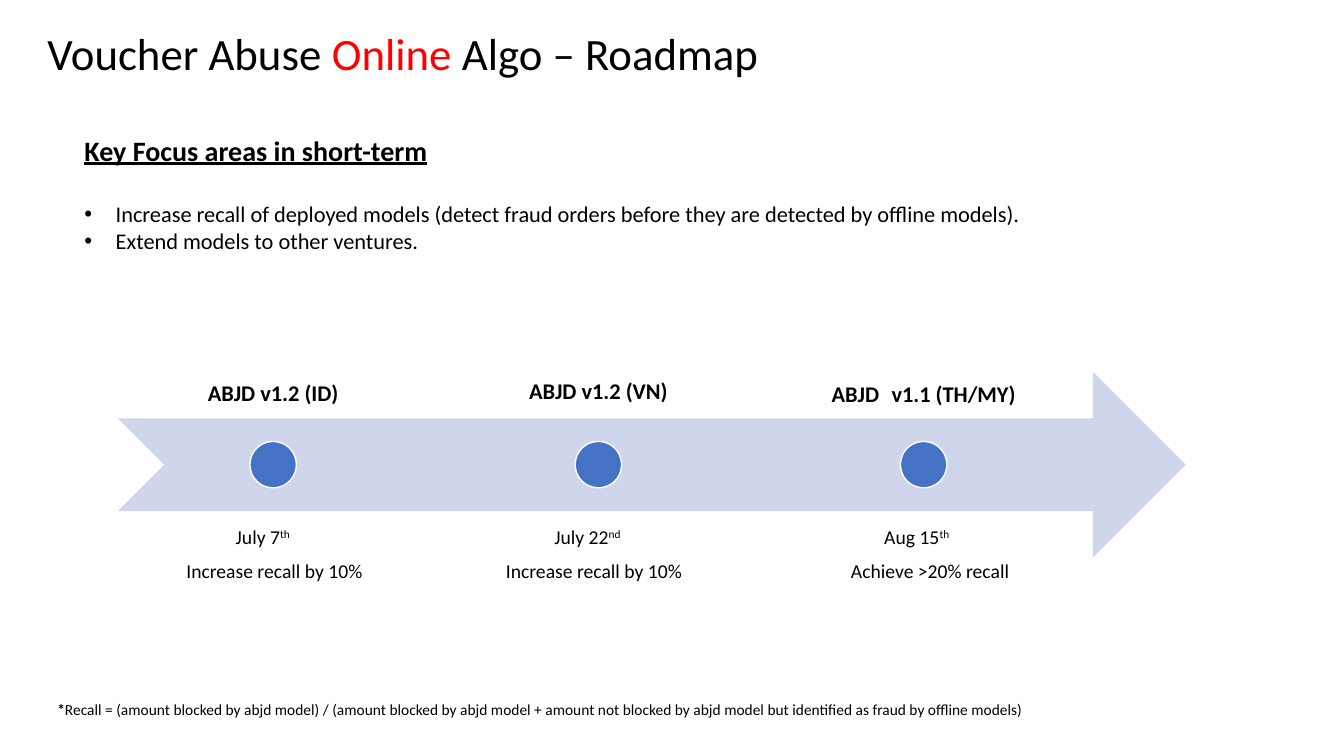
from lxml import etree
from pptx import Presentation
from pptx.dml.color import RGBColor
from pptx.enum.shapes import MSO_SHAPE
from pptx.enum.text import MSO_ANCHOR, PP_ALIGN
from pptx.oxml.ns import qn
from pptx.util import Inches, Pt

ARROW, DOT = MSO_SHAPE.NOTCHED_RIGHT_ARROW, MSO_SHAPE.OVAL
TOP, MIDDLE, BOTTOM = MSO_ANCHOR.TOP, MSO_ANCHOR.MIDDLE, MSO_ANCHOR.BOTTOM
CENTER = PP_ALIGN.CENTER

# Grid of 40 columns by 30 rows
SLIDE_W, SLIDE_H = Inches(13.33), Inches(7.5)
COL, ROW = SLIDE_W / 40, SLIDE_H / 30

FONT = "Calibri"
BLACK, RED, WHITE = "000000", "FF0000", "FFFFFF"
BAND, BLUE = "CFD5EA", "4472C4"

# Milestones: dot centres are evenly spaced along the arrow
FIRST_DOT, DOT_STEP, DOT_ROW = 8.13, 9.68, 18.44
DOT_COLS, DOT_ROWS = 1.38, 1.84
LABEL_COLS, LABEL_ROWS = 9.2, 7.36

# Label runs as (text, size), label row, date, suffix, date column, goal, goal column
MILESTONES = [
    ([("ABJD v1.2 (ID)", 16)], 9.24,
     "July 7", "th", 6.72, "Increase recall by 10%", 5.25),
    ([("ABJD v1.2 (VN)", 16)], 9.16,
     "July 22", "nd", 16.2, "Increase recall by 10%", 14.76),
    ([("ABJD", 16), (" ", 39), ("v1.1 (TH/MY)", 16)], 9.56,
     "Aug 15", "th", 26.02, "Achieve >20% recall", 25.03),
]

FOCUS_AREAS = [
    "Increase recall of deployed models (detect fraud orders before they "
    "are detected by offline models).",
    "Extend models to other ventures.",
]


def color(hex_code):
    return RGBColor.from_string(hex_code)


def place(col, row, cols, rows):
    return int(col * COL), int(row * ROW), int(cols * COL), int(rows * ROW)


def add_frame(slide, box, anchor=TOP, inset=None):
    frame = slide.shapes.add_textbox(*place(*box)).text_frame
    frame.word_wrap = True
    frame.vertical_anchor = anchor
    if inset is not None:
        frame.margin_left = frame.margin_right = Inches(inset)
        frame.margin_top = frame.margin_bottom = Inches(inset)
    return frame


def add_run(paragraph, text, size, hex_code=BLACK, bold=False,
            underline=False, superscript=False):
    run = paragraph.add_run()
    run.text = text
    font = run.font
    font.name, font.size, font.bold = FONT, Pt(size), bold
    font.underline = underline
    font.color.rgb = color(hex_code)
    if superscript:
        run._r.get_or_add_rPr().set("baseline", "30000")


def add_bullet(paragraph):
    properties = paragraph._p.get_or_add_pPr()
    properties.set("marL", str(Inches(0.31)))
    properties.set("indent", str(-Inches(0.31)))
    etree.SubElement(properties, qn("a:buFont")).set("typeface", "Arial")
    etree.SubElement(properties, qn("a:buChar")).set("char", "•")


def add_filled(slide, preset, box, fill, line=None):
    shape = slide.shapes.add_shape(preset, *place(*box))
    shape.shadow.inherit = False
    shape.fill.solid()
    shape.fill.fore_color.rgb = color(fill)
    if line:
        shape.line.color.rgb = color(line)
        shape.line.width = Pt(1)
    else:
        shape.line.fill.background()


def add_title(slide):
    title = add_frame(slide, (1.41, 1.28, 31.87, 1.92), MIDDLE, 0).paragraphs[0]
    title.line_spacing = 0.9
    add_run(title, "Voucher Abuse ", 32)
    add_run(title, "Online", 32, RED)
    add_run(title, " Algo – Roadmap", 32)


def add_focus_areas(slide):
    frame = add_frame(slide, (2.22, 5.08, 28.8, 5.24))
    heading = frame.paragraphs[0]
    heading.space_after = Pt(24)
    add_run(heading, "Key Focus areas in short-term", 20, bold=True, underline=True)
    for area in FOCUS_AREAS:
        item = frame.add_paragraph()
        add_bullet(item)
        add_run(item, area, 16)


def add_milestone(slide, index, label, label_row, date, suffix, date_col, goal, goal_col):
    center = FIRST_DOT + index * DOT_STEP
    name = add_frame(slide, (center - LABEL_COLS / 2, label_row, LABEL_COLS, LABEL_ROWS),
                     BOTTOM, 0.12).paragraphs[0]
    name.alignment = CENTER
    name.line_spacing = 0.9
    for text, size in label:
        add_run(name, text, size, bold=True)

    add_filled(slide, DOT, (center - DOT_COLS / 2, DOT_ROW - DOT_ROWS / 2,
                            DOT_COLS, DOT_ROWS), BLUE, WHITE)

    day = add_frame(slide, (date_col, 20.62, 3.03, 1.36)).paragraphs[0]
    add_run(day, date, 14)
    add_run(day, suffix, 14, superscript=True)

    target = add_frame(slide, (goal_col, 22, 6, 1.36)).paragraphs[0]
    add_run(target, goal, 14)


def add_footnote(slide):
    note = add_frame(slide, (1.41, 27.6, 32.3, 1.16)).paragraphs[0]
    add_run(note, "*", 11, bold=True)
    add_run(note, "Recall = (amount blocked by abjd model) / (amount blocked by abjd "
                  "model + amount not blocked by abjd model but identified as fraud "
                  "by offline models)", 11)


def main():
    deck = Presentation()
    deck.slide_width, deck.slide_height = SLIDE_W, SLIDE_H
    slide = deck.slides.add_slide(deck.slide_layouts[6])

    add_title(slide)
    add_focus_areas(slide)

    # Timeline
    add_filled(slide, ARROW, (3.51, 14.76, 31.78, 7.36), BAND)
    for index, milestone in enumerate(MILESTONES):
        add_milestone(slide, index, *milestone)

    add_footnote(slide)
    deck.save("out.pptx")


if __name__ == "__main__":
    main()
